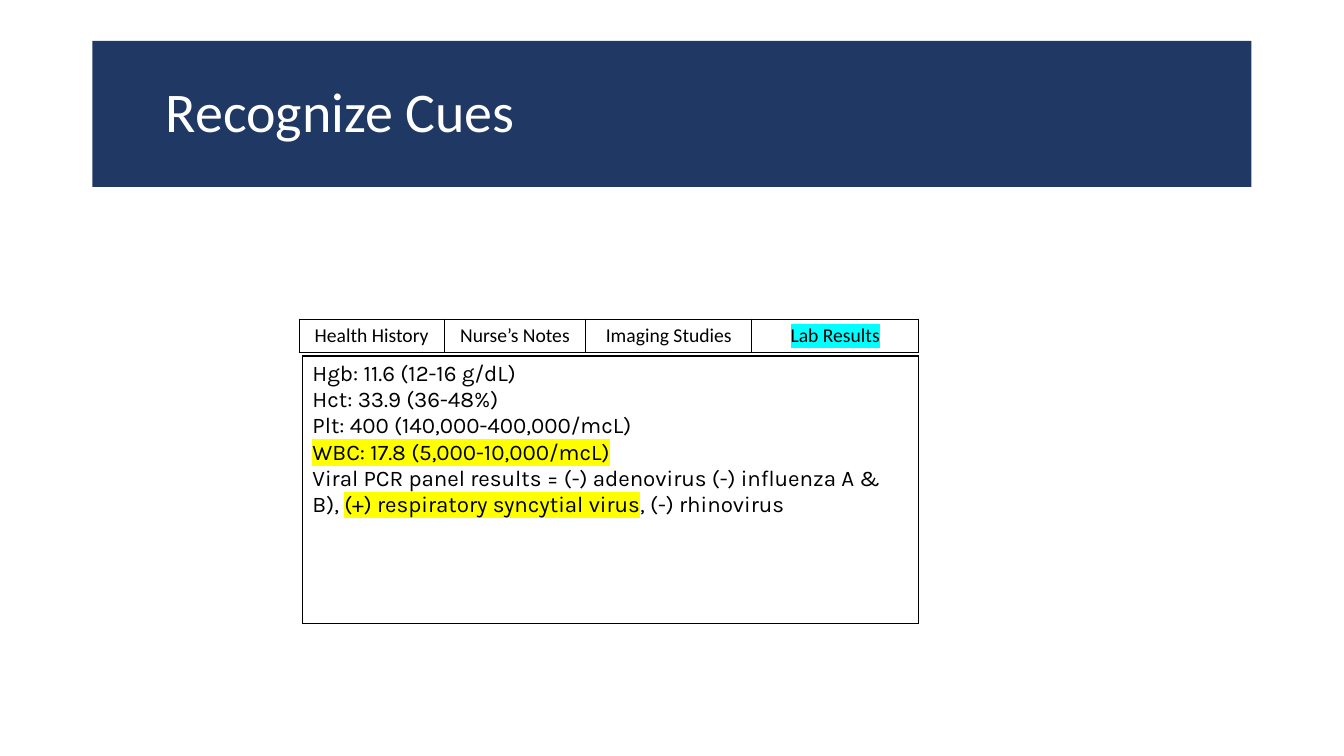
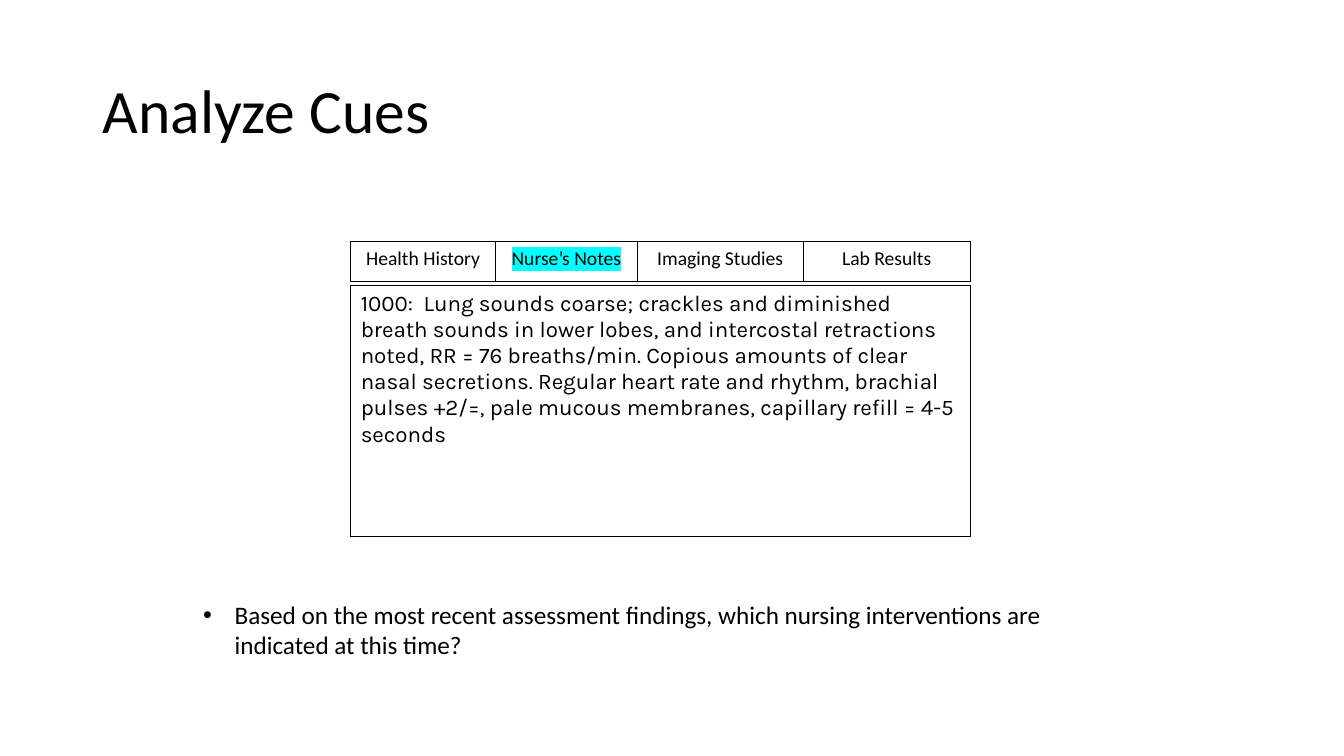
from lxml import etree
from pptx import Presentation
from pptx import util as u
from pptx.dml import color
from pptx.enum import text
from pptx.oxml import ns

NAVY, BLACK, WHITE = "203864", "000000", "FFFFFF"
YELLOW, CYAN = "FFFF00", "00FFFF"
BODY_FONT, CHART_FONT = "Calibri", "Karla"
TITLE_BOX = (88, 39, 1104, 139)
TABS = {"Health History": 138, "Nurse’s Notes": 135,
        "Imaging Studies": 158, "Lab Results": 159}


def px(n):
    return u.Emu(n * 9525)


def rgb(value):
    return color.RGBColor.from_string(value)


def add_xml(parent, tag, **attrs):
    return etree.SubElement(parent, ns.qn(tag), attrs)


def style(font, size, name=BODY_FONT, fill=BLACK):
    font.size = u.Pt(size)
    font.name = name
    font.color.rgb = rgb(fill)


def highlight(r, fill):
    mark = etree.Element(ns.qn("a:highlight"))
    add_xml(mark, "a:srgbClr", val=fill)
    r._r.get_or_add_rPr().find(ns.qn("a:latin")).addprevious(mark)


def add_title(s, title, size, fill=BLACK, band=None, inset=10):
    sp = s.shapes.add_textbox(*map(px, TITLE_BOX))
    if band:
        sp.fill.solid()
        sp.fill.fore_color.rgb = rgb(band)
    tf = sp.text_frame
    tf.word_wrap = True
    tf.vertical_anchor = text.MSO_ANCHOR.MIDDLE
    tf.margin_left = px(inset)
    tf.text = title
    p = tf.paragraphs[0]
    p.line_spacing = 0.9
    style(p.runs[0].font, size, fill=fill)


def add_framed_cell(s, x, y, w, h):
    table = s.shapes.add_table(1, 1, *map(px, (x, y, w, h))).table
    table.first_row = table.horz_banding = False
    cell = table.cell(0, 0)
    tcPr = cell._tc.get_or_add_tcPr()
    for side in ("a:lnL", "a:lnR", "a:lnT", "a:lnB"):
        ln = add_xml(tcPr, side, w=str(u.Pt(1)))
        add_xml(add_xml(ln, "a:solidFill"), "a:srgbClr", val=BLACK)
    cell.fill.background()
    return cell.text_frame


def add_tabs(s, x, y, h, active):
    for label, w in TABS.items():
        tf = add_framed_cell(s, x, y, w, h)
        tf.text = label
        p = tf.paragraphs[0]
        p.alignment = text.PP_ALIGN.CENTER
        style(p.runs[0].font, 14)
        if label == active:
            highlight(p.runs[0], CYAN)
        x += w


def add_record(s, x, y, w, h, lines):
    tf = add_framed_cell(s, x, y, w, h)
    for i, line in enumerate(lines):
        p = tf.add_paragraph() if i else tf.paragraphs[0]
        for words, marked in line:
            r = p.add_run()
            r.text = words
            style(r.font, 16, CHART_FONT)
            if marked:
                highlight(r, YELLOW)


def add_question(s, x, y, w, h, question):
    tf = s.shapes.add_textbox(*map(px, (x, y, w, h))).text_frame
    tf.word_wrap = True
    tf.text = question
    p = tf.paragraphs[0]
    pPr = p._p.get_or_add_pPr()
    pPr.set("marL", str(px(30)))
    pPr.set("indent", str(-px(30)))
    add_xml(pPr, "a:buFont", typeface="Arial")
    add_xml(pPr, "a:buChar", char="•")
    style(p.runs[0].font, 18)


def recognize_slide(s):
    add_title(s, "Recognize Cues", 40, WHITE, NAVY, inset=70)
    add_tabs(s, 285, 304, 32, "Lab Results")
    add_record(s, 288, 339, 587, 255, [
        [("Hgb: 11.6 (12-16 g/dL)", False)],
        [("Hct: 33.9 (36-48%)", False)],
        [("Plt: 400 (140,000-400,000/mcL)", False)],
        [("WBC: 17.8 (5,000-10,000/mcL)", True)],
        [("Viral PCR panel results = (-) adenovirus (-) influenza A & B), ", False),
         ("(+) respiratory syncytial virus", True),
         (", (-) rhinovirus", False)],
    ])


def analyze_slide(s):
    add_title(s, "Analyze Cues", 44)
    add_tabs(s, 334, 230, 38, "Nurse’s Notes")
    add_record(s, 334, 272, 590, 239, [[(
        "1000:  Lung sounds coarse; crackles and diminished breath sounds in "
        "lower lobes, and intercostal retractions noted, RR = 76 breaths/min. "
        "Copious amounts of clear nasal secretions. Regular heart rate and "
        "rhythm, brachial pulses +2/=, pale mucous membranes, capillary "
        "refill = 4-5 seconds", False)]])
    add_question(s, 184, 566, 890, 68,
                 "Based on the most recent assessment findings, which nursing "
                 "interventions are indicated at this time?")


def main():
    prs = Presentation()
    prs.slide_width, prs.slide_height = px(1280), px(720)
    for build in (recognize_slide, analyze_slide):
        build(prs.slides.add_slide(prs.slide_layouts[6]))
    prs.save("out.pptx")


if __name__ == "__main__":
    main()
